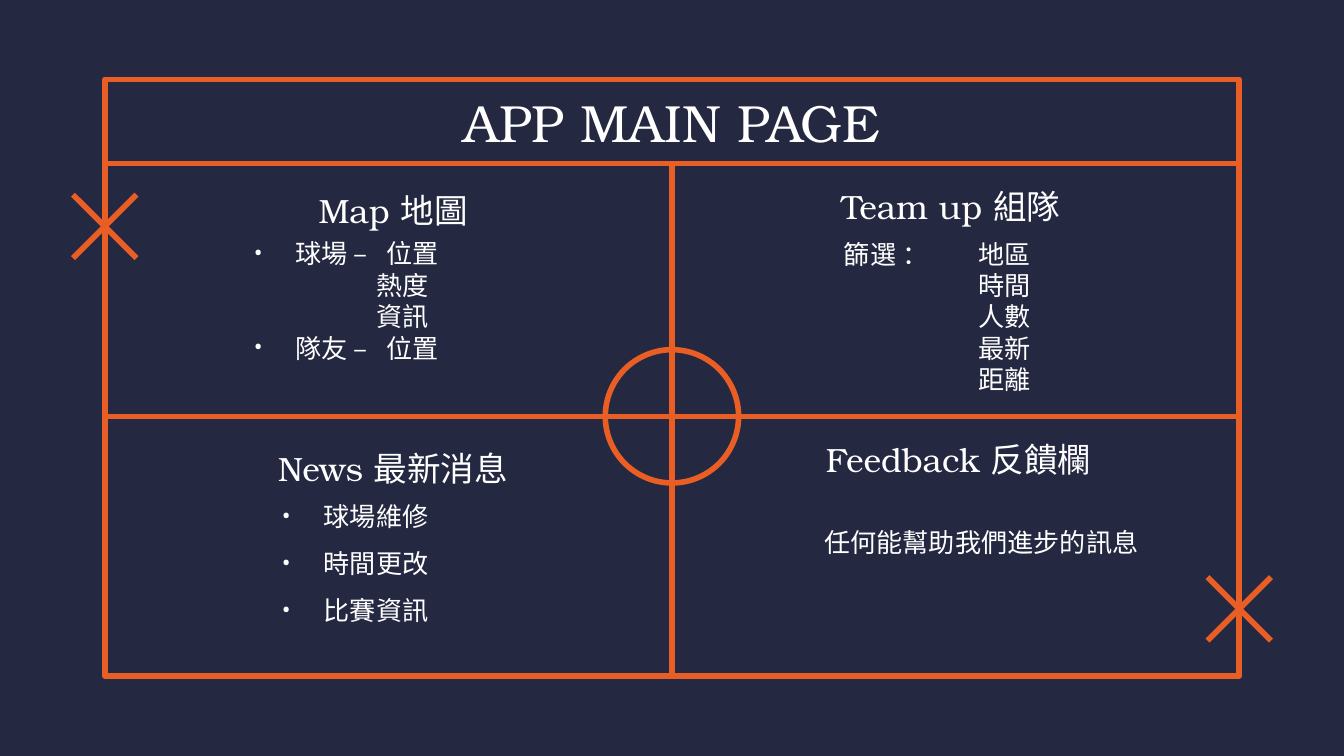
"""Build the app main page slide, laid out as a sports court with four quarters."""
from dataclasses import dataclass

from lxml.etree import SubElement
from pptx import Presentation
from pptx.dml.color import RGBColor
from pptx.enum.shapes import MSO_CONNECTOR, MSO_SHAPE
from pptx.enum.text import MSO_ANCHOR, MSO_AUTO_SIZE, PP_ALIGN
from pptx.oxml.ns import qn
from pptx.util import Cm, Pt


@dataclass(frozen=True)
class Theme:
    background: RGBColor = RGBColor(0x24, 0x28, 0x41)
    court: RGBColor = RGBColor(0xE9, 0x5E, 0x24)
    text: RGBColor = RGBColor(0xFF, 0xFF, 0xFF)
    heading_font: str = "TeX Gyre Bonum"
    body_font: str = "Roboto"
    title_size: int = 28
    heading_size: int = 18
    body_size: int = 14
    line_width: int = 3


THEME = Theme()
PAGE_WIDTH, PAGE_HEIGHT = 25.4, 14.29
LEFT, TOP, WIDTH, HEIGHT = 1.98, 1.5, 21.44, 11.28
RIGHT, BOTTOM = LEFT + WIDTH, TOP + HEIGHT
HEADER_HEIGHT = 1.59
CENTRE_X, CENTRE_Y = PAGE_WIDTH / 2, 7.87
CIRCLE_RADIUS = 1.26
CROSS_REACH = 0.6
CROSSES = [(LEFT, 4.28), (RIGHT, 11.51)]
HEADING_SIZE = (9.22, 1.19)
BULLET_INDENT = 0.79

TITLE = "APP MAIN PAGE"
QUARTERS = [
    {
        "heading": "Map 地圖", "heading_at": (2.82, 3.38),
        "list_box": (4.55, 4.88, 5.64, 1.6), "align": PP_ALIGN.LEFT,
        "spacing": 1.0, "tab": 2.51,
        "lines": [("球場 –\t位置", True, BULLET_INDENT), ("熱度", False, 2.32),
                  ("資訊", False, 2.32), ("隊友 –\t位置", True, BULLET_INDENT)],
    },
    {
        "heading": "Team up 組隊", "heading_at": (13.36, 3.3),
        "list_box": (15.7, 5.18, 9.22, 1.6), "align": PP_ALIGN.LEFT,
        "spacing": 1.0, "tab": 2.36,
        "lines": [("篩選 ：\t地區", False, 0)]
        + [(name, False, 2.54) for name in ("時間", "人數", "最新", "距離")],
    },
    {
        "heading": "News 最新消息", "heading_at": (2.82, 8.26),
        "list_box": (1.37, 9.7, 10.69, 1.6), "align": PP_ALIGN.CENTER,
        "spacing": 1.5, "tab": None,
        "lines": [(name, True, BULLET_INDENT) for name in ("球場維修", "時間更改", "比賽資訊")],
    },
    {
        "heading": "Feedback 反饋欄", "heading_at": (13.51, 8.08),
        "list_box": (13.94, 9.45, 9.22, 1.6), "align": PP_ALIGN.CENTER,
        "spacing": 1.0, "tab": None,
        "lines": [("任何能幫助我們進步的訊息", False, 0)],
    },
]


def place(box, left, top, width, height):
    box.left, box.top, box.width, box.height = map(Cm, (left, top, width, height))
    frame = box.text_frame
    frame.word_wrap = True
    frame.auto_size = MSO_AUTO_SIZE.NONE
    frame.vertical_anchor = MSO_ANCHOR.MIDDLE
    frame.margin_left = frame.margin_right = Cm(0.25)
    frame.margin_top = frame.margin_bottom = Cm(0.25)


def style(paragraph, font_name, size, align, spacing=1.0):
    paragraph.alignment = align
    paragraph.line_spacing = spacing
    paragraph.space_before = paragraph.space_after = Pt(0)
    for span in paragraph.runs:
        span.font.name = font_name
        span.font.size = Pt(size)
        span.font.bold = False
        span.font.color.rgb = THEME.text


def set_indent(paragraph, bulleted, indent, tab):
    properties = paragraph._p.get_or_add_pPr()
    properties.set("marL", str(Cm(indent)))
    properties.set("indent", str(-Cm(indent) if bulleted else 0))
    if bulleted:
        colour = SubElement(properties, qn("a:buClr"))
        SubElement(colour, qn("a:srgbClr"), val=str(THEME.text))
        SubElement(properties, qn("a:buFont"), typeface=THEME.body_font)
        SubElement(properties, qn("a:buChar"), char="•")
    else:
        SubElement(properties, qn("a:buNone"))
    if tab and "\t" in paragraph.text:
        tabs = SubElement(properties, qn("a:tabLst"))
        SubElement(tabs, qn("a:tab"), pos=str(Cm(tab)), algn="l")


def fill_list(box, quarter):
    place(box, *quarter["list_box"])
    lines = quarter["lines"]
    box.text_frame.text = "\n".join(text for text, _, _ in lines)
    for paragraph, (_, bulleted, indent) in zip(box.text_frame.paragraphs, lines):
        set_indent(paragraph, bulleted, indent, quarter["tab"])
        style(paragraph, THEME.body_font, THEME.body_size, quarter["align"], quarter["spacing"])


def fill_heading(box, text, bounds, size):
    place(box, *bounds)
    box.text_frame.text = text
    style(box.text_frame.paragraphs[0], THEME.heading_font, size, PP_ALIGN.CENTER)


def paint_line(line):
    line.color.rgb = THEME.court
    line.width = Pt(THEME.line_width)


def add_outline(page, kind, left, top, width, height):
    shape = page.shapes.add_shape(kind, *map(Cm, (left, top, width, height)))
    shape.shadow.inherit = False
    shape.fill.background()
    paint_line(shape.line)


def add_line(page, *ends):
    connector = page.shapes.add_connector(MSO_CONNECTOR.STRAIGHT, *map(Cm, ends))
    SubElement(connector._element.spPr, qn("a:effectLst"))
    paint_line(connector.line)


def draw_court(page):
    header_bottom = TOP + HEADER_HEIGHT
    add_outline(page, MSO_SHAPE.RECTANGLE, LEFT, TOP, WIDTH, HEIGHT)
    add_line(page, LEFT, header_bottom, RIGHT, header_bottom)
    add_line(page, CENTRE_X, header_bottom, CENTRE_X, BOTTOM)
    add_line(page, LEFT, CENTRE_Y, RIGHT, CENTRE_Y)
    add_outline(page, MSO_SHAPE.OVAL, CENTRE_X - CIRCLE_RADIUS, CENTRE_Y - CIRCLE_RADIUS,
                2 * CIRCLE_RADIUS, 2 * CIRCLE_RADIUS)
    for x, y in CROSSES:
        for rise in (-CROSS_REACH, CROSS_REACH):
            add_line(page, x - CROSS_REACH, y - rise, x + CROSS_REACH, y + rise)


def main():
    deck = Presentation()
    deck.slide_width, deck.slide_height = Cm(PAGE_WIDTH), Cm(PAGE_HEIGHT)
    page = deck.slides.add_slide(deck.slide_layouts.get_by_name("Comparison"))
    page.background.fill.solid()
    page.background.fill.fore_color.rgb = THEME.background

    title, *bodies = page.placeholders
    fill_heading(title, TITLE, (LEFT, TOP, WIDTH, HEADER_HEIGHT), THEME.title_size)
    for body, quarter in zip(bodies, QUARTERS):
        fill_list(body, quarter)
        bounds = quarter["heading_at"] + HEADING_SIZE
        heading = page.shapes.add_textbox(*map(Cm, bounds))
        fill_heading(heading, quarter["heading"], bounds, THEME.heading_size)
    draw_court(page)
    deck.save("out.pptx")


if __name__ == "__main__":
    main()
